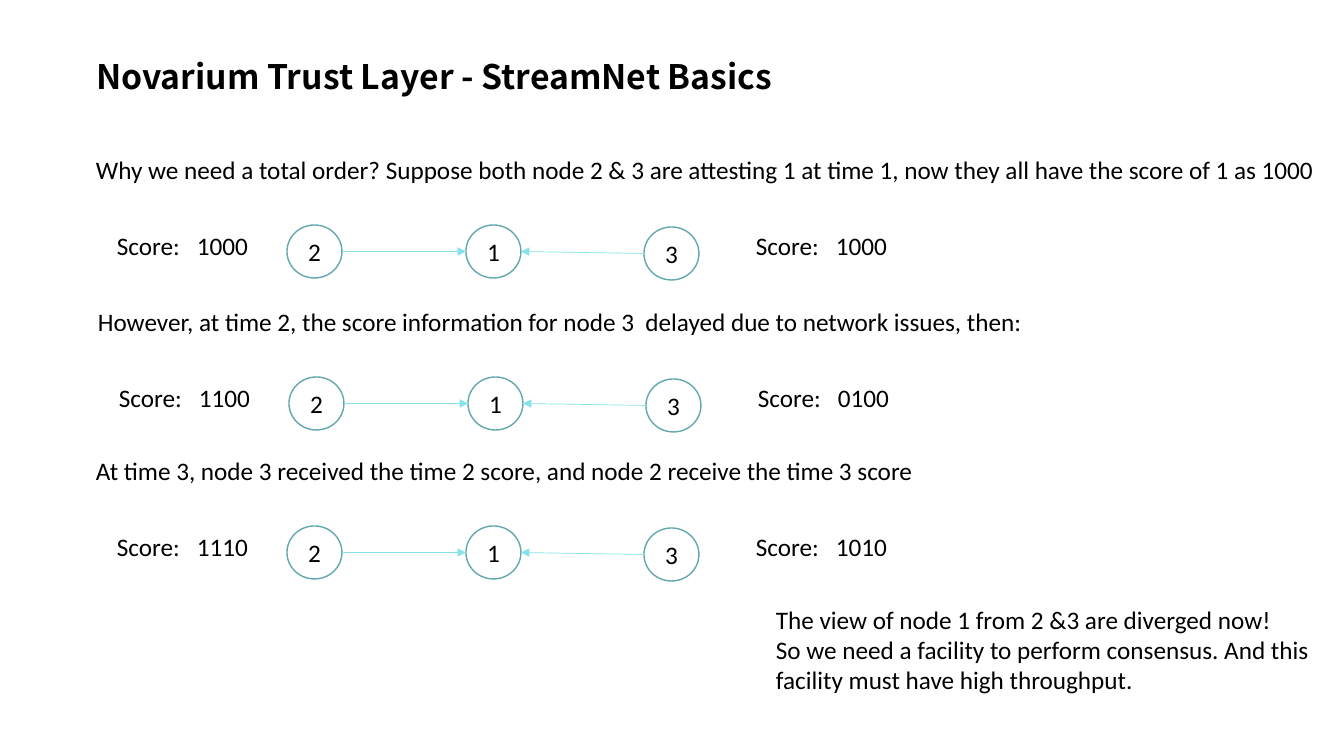
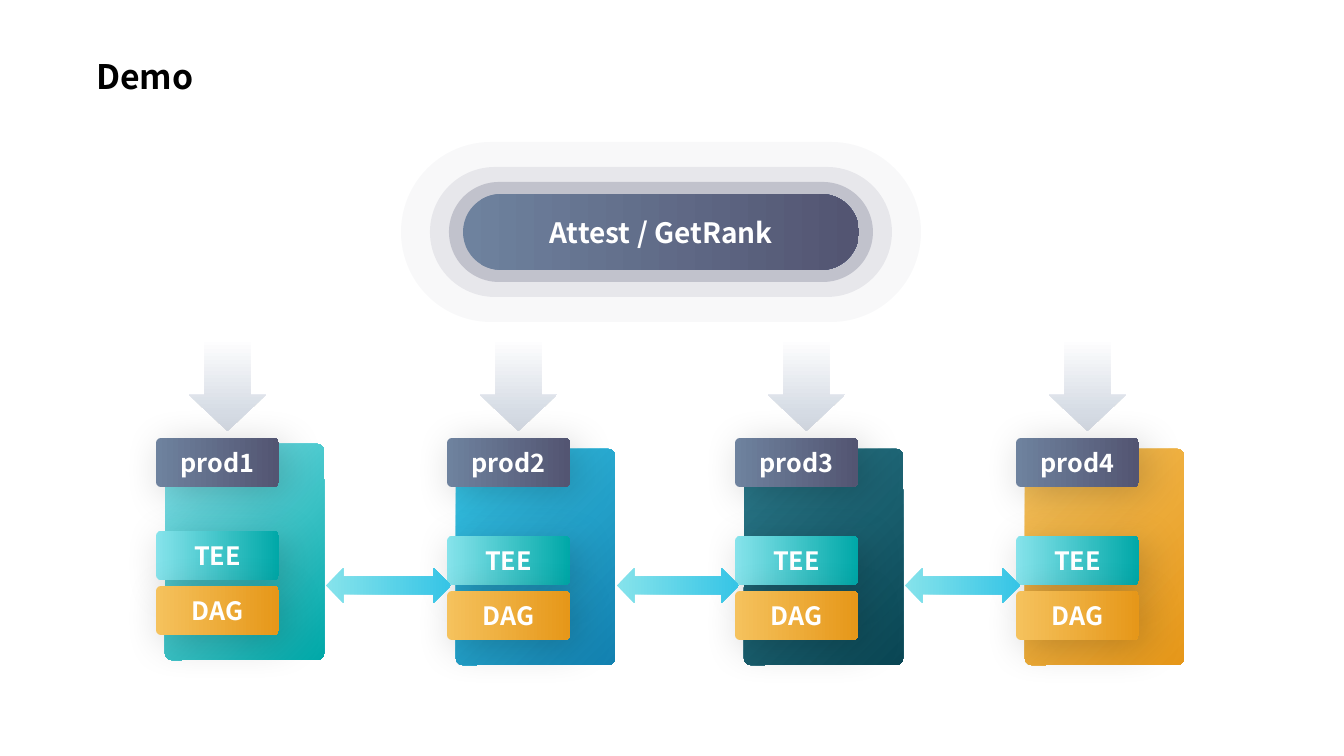
from lxml import etree
from pptx import Presentation
from pptx.dml.color import RGBColor
from pptx.enum.shapes import MSO_CONNECTOR, MSO_SHAPE
from pptx.enum.text import MSO_ANCHOR, MSO_AUTO_SIZE, PP_ALIGN
from pptx.oxml.ns import qn
from pptx.util import Emu, Pt

ROUNDED = MSO_SHAPE.ROUNDED_RECTANGLE
ELLIPSE = MSO_SHAPE.OVAL
DOWN_ARROW = MSO_SHAPE.DOWN_ARROW
TWO_WAY_ARROW = MSO_SHAPE.LEFT_RIGHT_ARROW
STRAIGHT = MSO_CONNECTOR.STRAIGHT
TOP, MIDDLE = MSO_ANCHOR.TOP, MSO_ANCHOR.MIDDLE
LEFT, CENTER = PP_ALIGN.LEFT, PP_ALIGN.CENTER
NO_FIT = MSO_AUTO_SIZE.NONE

PAGE_W, PAGE_H = 1344, 756
EMU_PER_PX = 12192000 / PAGE_W
TITLE_ONLY = 5

BODY_FONT = "Calibri"
HEAD_FONT = "Noto Sans CJK SC"
BLACK, WHITE = "000000", "FFFFFF"
NODE_LINE, LINK_LINE = "63A8AE", "86E3EB"
SLATE_DARK = "535572"
SLATE = ("6E829E", SLATE_DARK)
TEAL = ("86E3EB", "00A8A8")
BLUE = ("37C5E6", "1381B0")
PETROL = ("2C7B8C", "0A4654")
AMBER = ("F5C25D", "E69719")
AQUA = ("86E3EB", "37C5E6")
MIST = ("FFFFFF", "D6DCE5")


def px(length):
    return Emu(round(length * EMU_PER_PX))


def rgb(color):
    return RGBColor.from_string(color)


def add_span(para, text, size, color, font=BODY_FONT, bold=False):
    span = para.add_run()
    span.text = text
    span.font.name = font
    span.font.size = Pt(size)
    span.font.bold = bold
    span.font.color.rgb = rgb(color)


def add_title_page(deck, title):
    page = deck.slides.add_slide(deck.slide_layouts[TITLE_ONLY])
    box = page.shapes.title
    box.left, box.top, box.width, box.height = px(86), px(62), px(1258), px(42)
    frame = box.text_frame
    frame.auto_size = NO_FIT
    frame.word_wrap = True
    frame.vertical_anchor = TOP
    para = frame.paragraphs[0]
    para.alignment = LEFT
    para.line_spacing = 0.7
    add_span(para, title, 24.1, BLACK, HEAD_FONT, True)
    return page


def add_text(page, left, top, width, height, lines, tab=None):
    """Place one paragraph per line; tab is an optional tab stop in px."""
    box = page.shapes.add_textbox(px(left), px(top), px(width), px(height))
    frame = box.text_frame
    frame.word_wrap = True
    for index, line in enumerate(lines):
        para = frame.add_paragraph() if index else frame.paragraphs[0]
        if tab:
            stops = etree.SubElement(para._p.get_or_add_pPr(), qn("a:tabLst"))
            etree.SubElement(stops, qn("a:tab"), pos=str(px(tab)), algn="l")
        add_span(para, line, 18, BLACK)


def add_block(page, kind, left, top, width, height, adjust=()):
    """Add a plain shape without line or shadow."""
    block = page.shapes.add_shape(kind, px(left), px(top), px(width), px(height))
    block.shadow.inherit = False
    block.line.fill.background()
    for index, value in enumerate(adjust):
        block.adjustments[index] = value
    return block


def fill_solid(block, color, opacity=100):
    block.fill.solid()
    block.fill.fore_color.rgb = rgb(color)
    if opacity < 100:
        tint = block._element.spPr.find(".//" + qn("a:srgbClr"))
        etree.SubElement(tint, qn("a:alpha"), val=str(opacity * 1000))


def fill_gradient(block, colors, clockwise=0, end=1.0):
    block.fill.gradient()
    block.fill.gradient_angle = (360 - clockwise) % 360
    for stop, color, position in zip(block.fill.gradient_stops, colors, (0.0, end)):
        stop.color.rgb = rgb(color)
        stop.position = position


def add_label(block, text, size, color, font=HEAD_FONT, bold=True):
    frame = block.text_frame
    frame.vertical_anchor = MIDDLE
    para = frame.paragraphs[0]
    para.alignment = CENTER
    add_span(para, text, size, color, font, bold)


def add_soft_shadow(block):
    effects = block._element.spPr.find(qn("a:effectLst"))
    shadow = etree.SubElement(
        effects, qn("a:outerShdw"), blurRad=str(Pt(30)), dist=str(Pt(8)),
        dir="2700000", algn="tl", rotWithShape="0")
    tint = etree.SubElement(shadow, qn("a:srgbClr"), val=BLACK)
    etree.SubElement(tint, qn("a:alpha"), val="20000")


def add_node(page, left, top, name):
    node = add_block(page, ELLIPSE, left, top, 55, 53)
    fill_solid(node, WHITE)
    node.line.color.rgb = rgb(NODE_LINE)
    node.line.width = Pt(1)
    add_label(node, name, 18, BLACK, BODY_FONT, False)
    return node


def add_link(page, source, target):
    """Draw an arrow between the facing sides of two nodes."""
    left_side, right_side = 2, 6
    rightward = source.left < target.left
    start, end = (right_side, left_side) if rightward else (left_side, right_side)
    points = []
    for node, side in ((source, start), (target, end)):
        points += [node.left + (node.width if side == right_side else 0),
                   node.top + node.height // 2]
    link = page.shapes.add_connector(STRAIGHT, *points)
    link.line.color.rgb = rgb(LINK_LINE)
    link.line.width = Pt(0.5)
    etree.SubElement(link.line._get_or_add_ln(), qn("a:tailEnd"), type="triangle")
    etree.SubElement(link._element.spPr, qn("a:effectLst"))
    ends = link._element.nvCxnSpPr.cNvCxnSpPr
    for tag, node, side in (("a:stCxn", source, start), ("a:endCxn", target, end)):
        etree.SubElement(ends, qn(tag), id=str(node.shape_id), idx=str(side))


def add_time_step(page, left, top, caption, scores):
    add_text(page, left, top, 1255, 40, [caption])
    row = top + 76
    center = add_node(page, left + 380, row, "1")
    for name, dx, dy in (("2", 201, 0), ("3", 558, 2)):
        add_link(page, add_node(page, left + dx, row + dy, name), center)
    for dx, score in zip((21, 660), scores):
        add_text(page, left + dx, row, 160, 40, ["Score:\t" + score], tab=80)


def add_banner(page, left, top, width, height, text):
    """Draw a pill with three translucent rings around it."""
    for dx, dy, opacity in ((62, 52, 4), (33, 27, 10), (14, 12, 25)):
        ring = add_block(page, ROUNDED, left - dx, top - dy,
                         width + 2 * dx, height + 2 * dy, [0.5])
        fill_solid(ring, SLATE_DARK, opacity)
    pill = add_block(page, ROUNDED, left, top, width, height, [0.5])
    fill_gradient(pill, SLATE, end=0.99)
    add_label(pill, text, 20, WHITE)


def add_server(page, left, top, name, colors, drop):
    """Draw one server column; drop lowers its card and inner tags."""
    arrow = add_block(page, DOWN_ARROW, left + 33, top, 77, 93, [0.6, 0.47])
    fill_gradient(arrow, MIST, 90, 0.79)
    card = add_block(page, ROUNDED, left + 9, top + 106 + drop, 159, 216, [0.04])
    fill_gradient(card, colors, 45)
    tags = ((name, 100, SLATE), ("TEE", 193 + drop, TEAL), ("DAG", 248 + drop, AMBER))
    for text, dy, shades in tags:
        tag = add_block(page, ROUNDED, left, top + dy, 123, 49, [0.1])
        fill_gradient(tag, shades)
        add_soft_shadow(tag)
        add_label(tag, text, 18, WHITE)


def build_basics(deck):
    page = add_title_page(deck, "Novarium Trust Layer - StreamNet Basics")
    steps = (
        (86, 149, "Why we need a total order? Suppose both node 2 & 3 are attesting 1 "
                  "at time 1, now they all have the score of 1 as 1000", ("1000", "1000")),
        (88, 301, "However, at time 2, the score information for node 3  delayed due "
                  "to network issues, then:", ("1100", "0100")),
        (86, 450, "At time 3, node 3 received the time 2 score, and node 2 receive "
                  "the time 3 score", ("1110", "1010")),
    )
    for step in steps:
        add_time_step(page, *step)
    add_text(page, 766, 599, 560, 102, [
        "The view of node 1 from 2 &3 are diverged now!",
        "So we need a facility to perform consensus. And this",
        "facility must have high throughput.",
    ])


def build_demo(deck):
    page = add_title_page(deck, "Demo")
    add_banner(page, 463, 194, 396, 76, "Attest / GetRank")
    servers = ((156, "prod1", TEAL, 0), (447, "prod2", BLUE, 5),
               (735, "prod3", PETROL, 5), (1016, "prod4", AMBER, 5))
    for left, name, colors, drop in servers:
        add_server(page, left, 338, name, colors, drop)
    for server, neighbour in zip(servers, servers[1:]):
        start, end = server[0] + 170, neighbour[0] + 4
        arrow = add_block(page, TWO_WAY_ARROW, start, 568, end - start, 35)
        fill_gradient(arrow, AQUA, end=0.98)


def main():
    deck = Presentation()
    deck.slide_width, deck.slide_height = px(PAGE_W), px(PAGE_H)
    build_basics(deck)
    build_demo(deck)
    deck.save("out.pptx")


if __name__ == "__main__":
    main()
